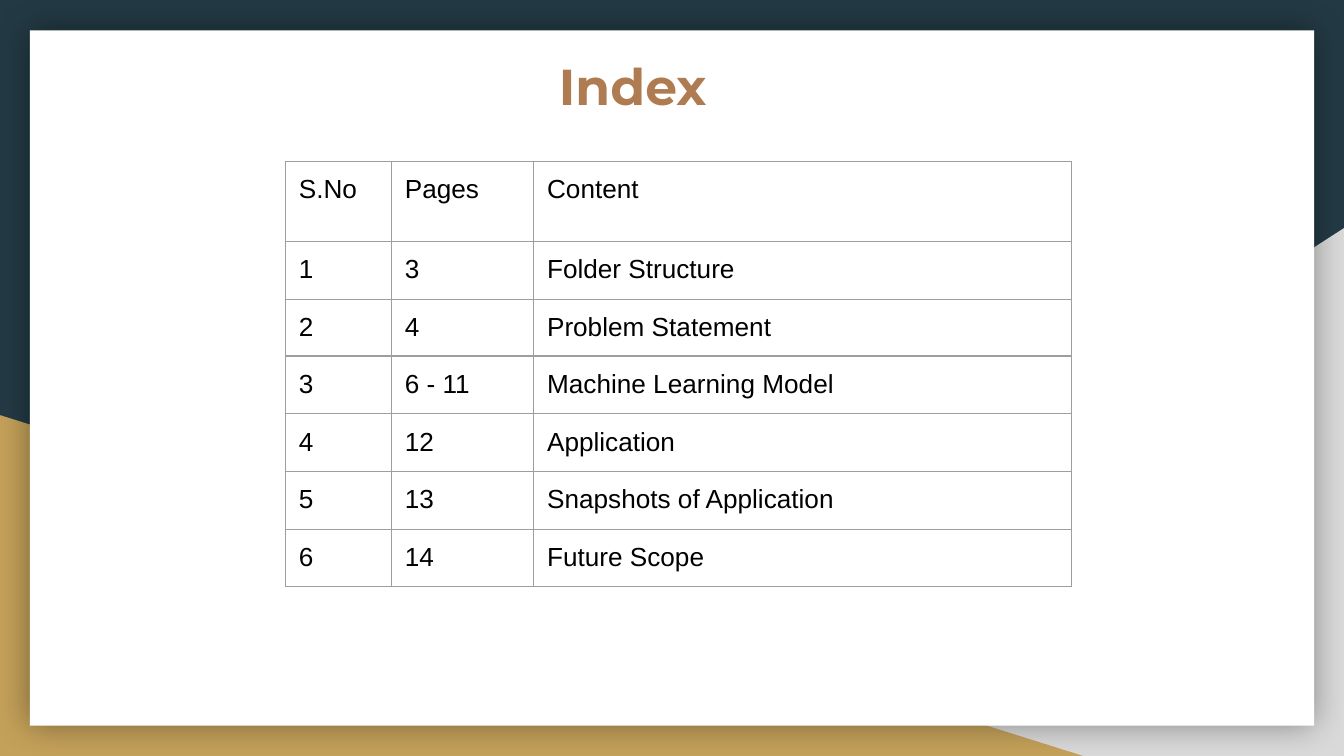
import pptx
import pptx.dml.color
import pptx.enum.shapes
import pptx.enum.text
import pptx.oxml
import pptx.oxml.ns
import pptx.util

Pt = pptx.util.Pt
SHAPE = pptx.enum.shapes.MSO_SHAPE
NS = pptx.oxml.ns.nsdecls("a")

COLORS = {
    "background": "233A44",
    "grey": "D9D9D9",
    "gold": "C4A15A",
    "sheet": "FFFFFF",
    "shadow": "000000",
    "title": "AF7B51",
    "text": "000000",
    "border": "9E9E9E",
}

ROWS = [
    ("S.No", "Pages", "Content"),
    ("1", "3", "Folder Structure"),
    ("2", "4", "Problem Statement"),
    ("3", "6 - 11", "Machine Learning Model"),
    ("4", "12", "Application"),
    ("5", "13", "Snapshots of Application"),
    ("6", "14", "Future Scope"),
]
COL_WIDTHS = (56.8, 76.2, 288)
ROW_HEIGHTS = (42.8, 31, 30.5, 31, 31, 31, 30.5)
INSET = 7.2


def rgb(name):
    return pptx.dml.color.RGBColor.from_string(COLORS[name])


def format_run(r, font, size, color, bold=False):
    r.font.name = font
    r.font.size = Pt(size)
    r.font.bold = bold
    r.font.color.rgb = rgb(color)


def add_panel(s, kind, left, top, width, height, color):
    sp = s.shapes.add_shape(kind, Pt(left), Pt(top), Pt(width), Pt(height))
    sp.shadow.inherit = False
    sp.fill.solid()
    sp.fill.fore_color.rgb = rgb(color)
    sp.line.fill.background()
    return sp


def add_glow_shadow(sp, blur, alpha):
    effects = sp._element.spPr.find(pptx.oxml.ns.qn("a:effectLst"))
    effects.append(pptx.oxml.parse_xml(
        f'<a:outerShdw {NS} blurRad="{Pt(blur)}" dist="0" dir="0" algn="ctr" rotWithShape="0">'
        f'<a:srgbClr val="{COLORS["shadow"]}"><a:alpha val="{alpha * 1000}"/></a:srgbClr>'
        '</a:outerShdw>'))


def flip_horizontally(sp):
    sp._element.spPr.get_or_add_xfrm().set("flipH", "1")


def set_title(s, text):
    sp = s.shapes.title
    sp.left, sp.top, sp.width, sp.height = Pt(248.4), Pt(22.3), Pt(171.4), Pt(46.8)
    tf = sp.text_frame
    tf.text = text
    tf.word_wrap = True
    tf.auto_size = pptx.enum.text.MSO_AUTO_SIZE.NONE
    tf.vertical_anchor = pptx.enum.text.MSO_ANCHOR.TOP
    tf.margin_left = Pt(51)
    tf.margin_top = tf.margin_right = tf.margin_bottom = Pt(INSET)
    p = tf.paragraphs[0]
    p.alignment = pptx.enum.text.PP_ALIGN.LEFT
    format_run(p.runs[0], "Montserrat", 27, "title", bold=True)
    # Bring the title in front of the panels
    s.shapes._spTree.append(sp._element)


def set_borders(cell, width):
    tc_pr = cell._tc.get_or_add_tcPr()
    for i, side in enumerate(("lnL", "lnR", "lnT", "lnB")):
        tc_pr.insert(i, pptx.oxml.parse_xml(
            f'<a:{side} {NS} w="{Pt(width)}"><a:solidFill>'
            f'<a:srgbClr val="{COLORS["border"]}"/></a:solidFill></a:{side}>'))


def fill_cell(cell, text):
    cell.text = text
    cell.margin_left = cell.margin_right = Pt(INSET)
    cell.margin_top = cell.margin_bottom = Pt(INSET)
    cell.fill.background()
    set_borders(cell, 0.75)
    format_run(cell.text_frame.paragraphs[0].runs[0], "Arial", 14, "text")


def add_index_table(s, left, top):
    frame = s.shapes.add_table(len(ROWS), len(COL_WIDTHS), Pt(left), Pt(top),
                               Pt(sum(COL_WIDTHS)), Pt(sum(ROW_HEIGHTS)))
    table = frame.table
    table.first_row = table.horz_banding = False
    for col, width in zip(table.columns, COL_WIDTHS):
        col.width = Pt(width)
    for row, height, texts in zip(table.rows, ROW_HEIGHTS, ROWS):
        row.height = Pt(height)
        for cell, text in zip(row.cells, texts):
            fill_cell(cell, text)


def main():
    prs = pptx.Presentation()
    prs.slide_width, prs.slide_height = Pt(720), Pt(405)
    s = prs.slides.add_slide(prs.slide_layouts[5])

    # Background and framed sheet
    s.background.fill.solid()
    s.background.fill.fore_color.rgb = rgb("background")
    corner = add_panel(s, SHAPE.RIGHT_TRIANGLE, 282.2, 122.2, 437.8, 282.8, "grey")
    flip_horizontally(corner)
    add_panel(s, SHAPE.RIGHT_TRIANGLE, 0, 222.4, 580.3, 182.6, "gold")
    sheet = add_panel(s, SHAPE.RECTANGLE, 16, 16.2, 688, 372.5, "sheet")
    add_glow_shadow(sheet, blur=18, alpha=40)

    # Title and index
    set_title(s, "Index")
    add_index_table(s, 152.9, 86.5)

    prs.save("out.pptx")


if __name__ == "__main__":
    main()
